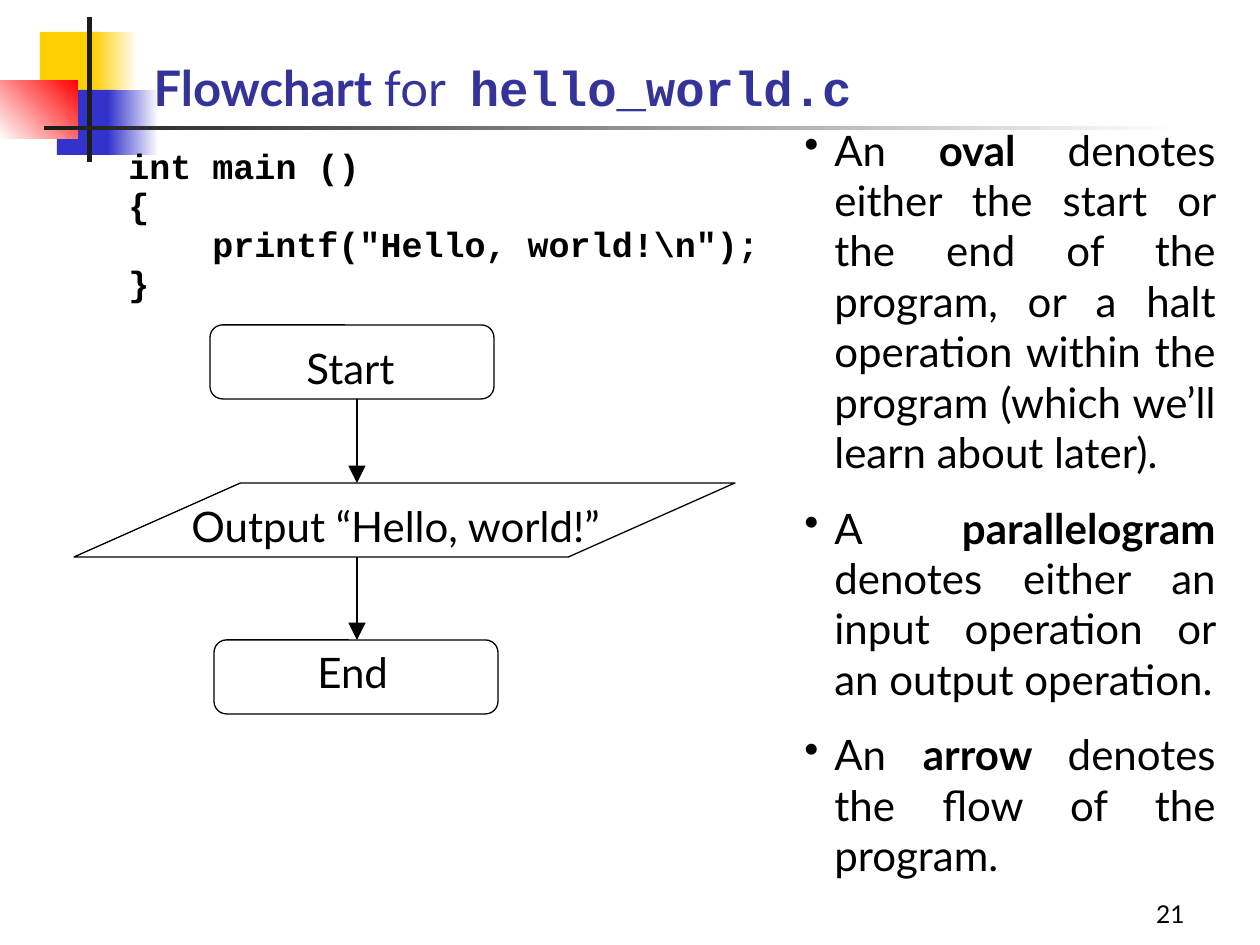
from lxml.etree import SubElement
from pptx import Presentation
from pptx.dml.color import RGBColor
from pptx.enum.shapes import MSO_CONNECTOR, MSO_SHAPE as Kind
from pptx.enum.text import MSO_ANCHOR as Anchor, PP_ALIGN as Align
from pptx.oxml.ns import qn
from pptx.util import Pt

PX = 914400 // 126
SANS, MONO = "Lato", "Courier New"
HUES = {"gold": "FFCF01", "blue": "3333CC", "red": "FF0000", "dark": "1C1C1C",
        "white": "FFFFFF", "black": "000000", "title": "333399"}

# Corner blocks: box, colours (two make a gradient), angle
DECO = [
    ((40, 32, 60, 65), ["gold"], 0),
    ((93, 32, 45, 65), ["gold", "white"], 0),
    ((57, 90, 58, 65), ["blue"], 0),
    ((108, 90, 51, 65), ["blue", "white"], 0),
    ((0, 80, 78, 59), ["white", "red"], 45),
    ((87, 17, 5, 145), ["dark"], 0),
    ((44, 126, 1134, 4), ["dark", "white"], 0),
]
# Title runs: text, font, bold
TITLE = [("Flowchart ", SANS, True), ("for  ", SANS, False),
         ("hello_world.c", MONO, True)]
# Code lines: text, indent in characters
CODE = [("int main ()", 0), ("{", 0),
        ('printf("Hello, world!\\n");', 4), ("}", 0)]
CHAR = 21
# Notes: before, bold word, after
NOTES = [
    ("An ", "oval ", "denotes either the start or the end of the program, or a "
     "halt operation within the program (which we’ll learn about later)."),
    ("A ", "parallelogram ",
     "denotes either an input operation or an output operation."),
    ("An ", "arrow ", "denotes the flow of the program."),
]
# Flowchart steps: kind, adjustment, outline box, label, label left and top
STEPS = [
    (Kind.ROUNDED_RECTANGLE, 0.17, (210, 325, 284, 74), "Start", 294, 336),
    (Kind.PARALLELOGRAM, 2.25, (74, 483, 661, 74), "Output “Hello, world!”", 179, 494),
    (Kind.ROUNDED_RECTANGLE, 0.17, (214, 640, 284, 74), "End", 305, 640),
]
AXIS = 357

deck = Presentation()
deck.slide_width, deck.slide_height = 1260 * PX, 945 * PX
slide = deck.slides.add_slide(deck.slide_layouts[5])
shapes = slide.shapes


def emu(box):
    return [n * PX for n in box]


def rgb(hue):
    return RGBColor.from_string(HUES[hue])


def style(font, size, name=SANS, hue="black", bold=False):
    font.size, font.name, font.bold = Pt(size), name, bold
    font.color.rgb = rgb(hue)


def block(kind, box):
    shape = shapes.add_shape(kind, *emu(box))
    shape.shadow.inherit = False
    return shape


def text(box, anchor=Anchor.TOP):
    frame = shapes.add_textbox(*emu(box)).text_frame
    frame.word_wrap, frame.vertical_anchor = True, anchor
    return frame


def paras(frame, items):
    for i, item in enumerate(items):
        yield (frame.add_paragraph() if i else frame.paragraphs[0]), item


def indent(para, left, first=0):
    props = para._p.get_or_add_pPr()
    props.set("marL", str(left * PX))
    props.set("indent", str(first * PX))
    return props


# Corner blocks
for box, hues, angle in DECO:
    shape = block(Kind.RECTANGLE, box)
    shape.line.fill.background()
    if len(hues) == 1:
        shape.fill.solid()
        shape.fill.fore_color.rgb = rgb(hues[0])
    else:
        shape.fill.gradient()
        shape.fill.gradient_angle = angle
        for stop, hue in zip(shape.fill.gradient_stops, hues):
            stop.color.rgb = rgb(hue)

# Title, drawn above the blocks
title = shapes.title
title.left, title.top, title.width, title.height = emu((141, -34, 1074, 157))
title.text_frame.vertical_anchor = Anchor.BOTTOM
para = title.text_frame.paragraphs[0]
para.alignment = Align.LEFT
for words, name, bold in TITLE:
    run = para.add_run()
    run.text = words
    style(run.font, 28, name, "title", bold)
shapes._spTree.append(title._element)

# Page number
para = text((935, 872, 262, 63), Anchor.BOTTOM).paragraphs[0]
para.text, para.alignment = "21", Align.RIGHT
style(para.font, 14)

# Code
frame = text((116, 141, 661, 170))
for para, (line, chars) in paras(frame, CODE):
    para.text, para.line_spacing = line, Pt(22.3)
    style(para.font, 20, MONO, bold=True)
    indent(para, chars * CHAR)

# Notes
frame = text((792, 118, 436, 769))
for para, parts in paras(frame, NOTES):
    para.alignment = Align.JUSTIFY
    para.space_before = Pt(0 if parts is NOTES[0] else 14.4)
    style(para.font, 24)
    SubElement(indent(para, 30, -30), qn("a:buChar")).set("char", "•")
    for i, words in enumerate(parts):
        run = para.add_run()
        run.text = words
        style(run.font, 24, bold=i == 1)

# Flowchart steps
for kind, adj, box, label, left, top in STEPS:
    shape = block(kind, box)
    shape.adjustments[0] = adj
    shape.fill.background()
    shape.line.color.rgb, shape.line.width = rgb("black"), Pt(0.75)
    para = text((left, top, box[2], 63)).paragraphs[0]
    para.text = label
    style(para.font, 24)

# Arrows from each step to the next
for step, below in zip(STEPS, STEPS[1:]):
    start, end = step[2][1] + step[2][3], below[2][1]
    arrow = shapes.add_connector(MSO_CONNECTOR.STRAIGHT,
                                 *emu((AXIS, start, AXIS, end)))
    arrow.line.color.rgb, arrow.line.width = rgb("black"), Pt(0.75)
    SubElement(arrow.line._get_or_add_ln(), qn("a:tailEnd"),
               type="triangle", w="lg", len="lg")
    SubElement(arrow._element.spPr, qn("a:effectLst"))

deck.save("out.pptx")
